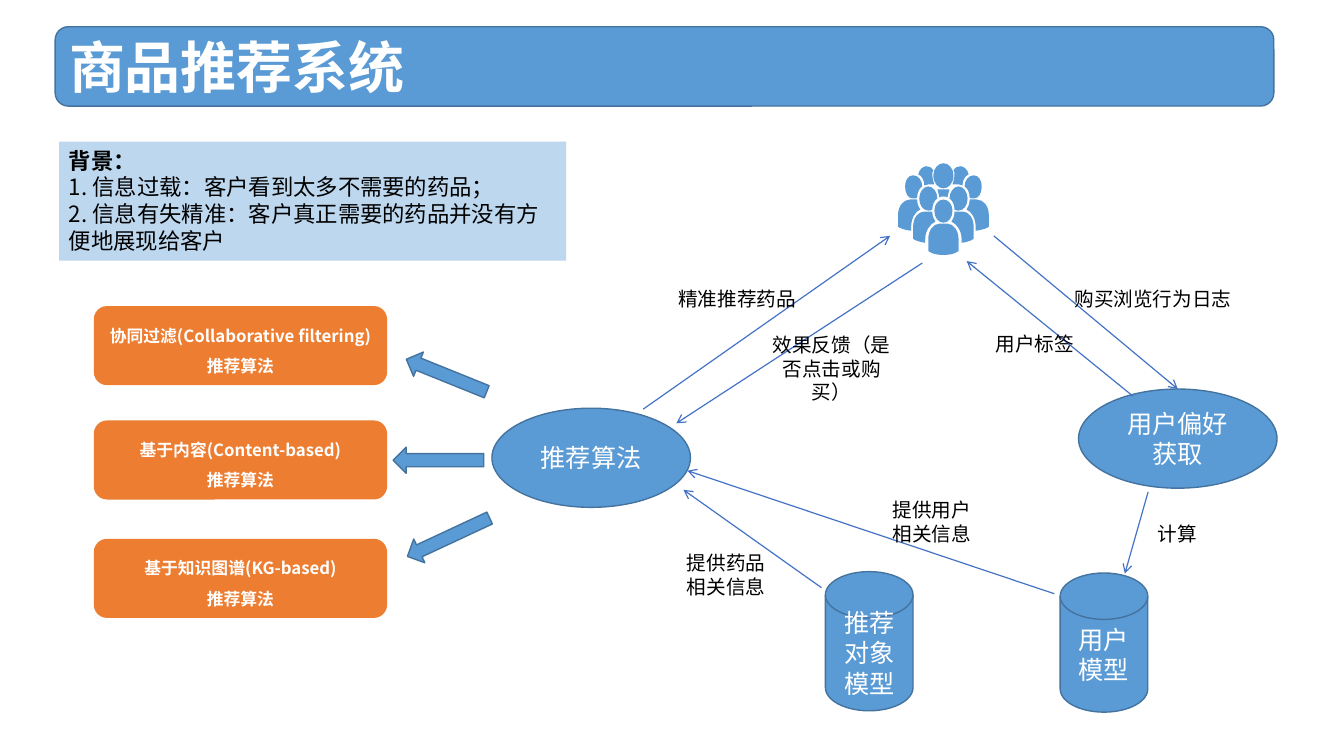
from dataclasses import dataclass
from typing import Any, Optional

from lxml.etree import SubElement
from pptx import Presentation
from pptx.dml.color import RGBColor
from pptx.enum.shapes import MSO_CONNECTOR, MSO_SHAPE
from pptx.enum.text import MSO_ANCHOR, MSO_AUTO_SIZE, PP_ALIGN
from pptx.oxml.ns import qn
from pptx.util import Pt


@dataclass(frozen=True)
class Theme:
    blue: str = "5B9BD5"
    outline: str = "43739E"
    arrow: str = "4472C4"
    orange: str = "ED7D31"
    pale: str = "BDD7EE"
    white: str = "FFFFFF"
    black: str = "000000"
    font: str = "Noto Sans CJK SC"
    title_font: str = "Calibri"
    title: int = 40
    node: int = 18
    note: int = 16
    label: int = 14
    card: int = 12


THEME = Theme()


@dataclass(frozen=True)
class Block:
    """A filled shape; box is left, top, width, height in points."""
    kind: MSO_SHAPE
    box: tuple
    lines: tuple = ()
    fill: str = THEME.blue
    outline: Optional[str] = THEME.outline
    rotation: float = 0


@dataclass(frozen=True)
class Label:
    text: str
    box: tuple


@dataclass(frozen=True)
class Flow:
    start: tuple
    end: tuple
    target: Optional[str] = None


DISK, OVAL = MSO_SHAPE.FLOWCHART_MAGNETIC_DISK, MSO_SHAPE.OVAL
TITLE_BAR = Block(MSO_SHAPE.ROUNDED_RECTANGLE, (39.4, 19.1, 870.5, 56.7))
NODES = {
    "user model": Block(DISK, (757.3, 409.3, 62.6, 99.4), ("用户模型",)),
    "item model": Block(DISK, (589.6, 408.3, 62.6, 99.4), ("推荐对象模型",)),
    "preference": Block(OVAL, (770.4, 277.9, 141.8, 70.8), ("用户偏好", "获取")),
    "algorithm": Block(OVAL, (351.4, 291.6, 141.8, 70.8), ("推荐算法",)),
}
CARDS = [
    Block(MSO_SHAPE.ROUNDED_RECTANGLE, (67, top, 209.5, 56.5), (method, "推荐算法"),
          THEME.orange, None)
    for top, method in (
        (218.6, "协同过滤(Collaborative filtering)"),
        (300.3, "基于内容(Content-based)"),
        (384.9, "基于知识图谱(KG-based)"),
    )
]
BLOCK_ARROWS = [
    Block(MSO_SHAPE.LEFT_ARROW, (288, 258.9, 61.9, 18.7), rotation=22),
    Block(MSO_SHAPE.LEFT_ARROW, (280.8, 319.4, 64.8, 18.7)),
    Block(MSO_SHAPE.LEFT_ARROW, (288, 374.4, 64.8, 18.7), rotation=335),
]
BACKGROUND = Block(
    MSO_SHAPE.RECTANGLE, (42.2, 101.2, 362.2, 85),
    ("背景：", "1. 信息过载：客户看到太多不需要的药品；",
     "2. 信息有失精准：客户真正需要的药品并没有方便地展现给客户"), THEME.pale, None)
FLOWS = [
    Flow((709.9, 168.5), (841.3, 277.9), "preference"),
    Flow((809.3, 283), (690.5, 186.5)),
    Flow((658.8, 187.9), (483.1, 302.4)),
    Flow((459.4, 292.3), (635.8, 168.5)),
    Flow((820.1, 351.4), (803.5, 409.7)),
    Flow((753.1, 424.1), (491, 336.2)),
    Flow((586.8, 419.8), (488.2, 349.9)),
]
LABELS = [
    Label("用户标签", (690.5, 233.3, 97.2, 24.5)),
    Label("效果反馈（是否点击或购买）", (542.2, 234.3, 103.7, 41)),
    Label("精准推荐药品", (455.8, 201.2, 141.8, 24.5)),
    Label("计算", (809.3, 369.4, 63.4, 24.5)),
    Label("购买浏览行为日志", (760.3, 201.2, 126.7, 24.5)),
    Label("提供用户相关信息", (625, 352.3, 81.4, 41)),
    Label("提供药品相关信息", (478.1, 390.2, 81.4, 41)),
]

# Crowd outlines around its centre line: 2 numbers are a corner, 6 a Bézier curve
CROWD_AXIS, CROWD_TOP, CROWD_UNIT = 673.9, 116.6, 0.72
CROWD_MIDDLE = [
    [(-4, 60), (4, 60), (10, 60, 15, 67, 15, 75), (15, 87), (14, 88, 10, 91, 0, 91),
     (-10, 91, -14, 88, -15, 87), (-15, 75), (-15, 67, -10, 60, -4, 60)],
    [(0, 36), (5, 36, 9, 41, 9, 47), (9, 54, 5, 59, 0, 59),
     (-5, 59, -9, 54, -9, 47), (-9, 41, -5, 36, 0, 36)],
    [(-4, 26), (4, 26), (6, 26), (5, 28, 5, 31, 4, 34), (3, 33, 2, 33, 0, 33),
     (-2, 33, -3, 33, -4, 34), (-5, 31, -5, 28, -6, 26)],
    [(0, 0), (5, 0, 10, 5, 10, 12), (10, 20, 5, 25, 0, 25),
     (-5, 25, -10, 20, -10, 12), (-10, 5, -5, 0, 0, 0)],
]
CROWD_SIDE = [
    [(11, 48), (19, 48), (25, 48, 30, 54, 30, 63), (30, 75), (29, 76, 25, 78, 18, 79),
     (18, 75), (18, 67, 13, 60, 8, 58), (10, 55, 11, 52, 11, 48)],
    [(26, 36), (33, 36), (40, 36, 45, 43, 45, 51), (45, 63), (44, 64, 40, 66, 32, 67),
     (32, 63), (32, 55, 28, 48, 23, 46), (25, 43, 26, 40, 26, 36)],
    [(15, 23), (20, 23, 24, 29, 24, 35), (24, 42, 20, 47, 15, 47),
     (14, 47, 12, 47, 11, 46), (11, 41, 9, 37, 6, 35), (6, 29, 10, 23, 15, 23)],
    [(30, 12), (35, 12, 38, 17, 38, 23), (38, 30, 35, 35, 30, 35),
     (28, 35, 27, 35, 26, 34), (26, 29, 24, 25, 21, 23), (21, 17, 25, 12, 30, 12)],
    [(17, 3), (20, 3, 24, 6, 25, 11), (21, 13, 19, 17, 19, 22), (18, 22, 16, 21, 15, 21),
     (13, 21, 12, 21, 9, 21), (10, 18, 11, 15, 11, 12), (11, 10, 11, 8, 10, 7),
     (12, 4, 14, 3, 17, 3)],
]


def apply_format(target: Any, values: dict) -> None:
    for name, value in values.items():
        setattr(target, name, value)


def paint(shape: Any, fill: str, outline: Optional[str] = None) -> None:
    shape.shadow.inherit = False
    shape.fill.solid()
    shape.fill.fore_color.rgb = RGBColor.from_string(fill)
    if outline:
        shape.line.color.rgb = RGBColor.from_string(outline)
        shape.line.width = Pt(1)
    else:
        shape.line.fill.background()


def write(shape: Any, lines: tuple, size: int, color: str, *, font: str = THEME.font,
          bold_lines: int = 0, align: PP_ALIGN = PP_ALIGN.CENTER, spacing: float = 1.0,
          anchor: MSO_ANCHOR = MSO_ANCHOR.MIDDLE, grow: bool = False) -> None:
    frame = shape.text_frame
    fit = MSO_AUTO_SIZE.SHAPE_TO_FIT_TEXT if grow else MSO_AUTO_SIZE.NONE
    apply_format(frame, {"word_wrap": True, "vertical_anchor": anchor, "auto_size": fit})
    for index, line in enumerate(lines):
        paragraph = frame.paragraphs[0] if index == 0 else frame.add_paragraph()
        apply_format(paragraph, {"alignment": align, "line_spacing": spacing})
        run = paragraph.add_run()
        run.text = line
        apply_format(run.font, {"name": font, "size": Pt(size), "bold": index < bold_lines})
        run.font.color.rgb = RGBColor.from_string(color)
        SubElement(run.font._element, qn("a:ea"), typeface=THEME.font)


def add_block(slide: Any, block: Block) -> Any:
    shape = slide.shapes.add_shape(block.kind, *map(Pt, block.box))
    shape.rotation = block.rotation
    paint(shape, block.fill, block.outline)
    return shape


def add_label(slide: Any, label: Label) -> None:
    box = slide.shapes.add_textbox(*map(Pt, label.box))
    write(box, (label.text,), THEME.label, THEME.black, anchor=MSO_ANCHOR.TOP, grow=True)


def add_flow(slide: Any, flow: Flow, nodes: dict) -> None:
    connector = slide.shapes.add_connector(
        MSO_CONNECTOR.STRAIGHT, *map(Pt, flow.start + flow.end))
    if flow.target:
        connector.end_connect(nodes[flow.target], 0)
    connector.line.color.rgb = RGBColor.from_string(THEME.arrow)
    connector.line.width = Pt(0.85)
    SubElement(connector.line._get_or_add_ln(), qn("a:tailEnd"), type="arrow")
    SubElement(connector._element.spPr, qn("a:effectLst"))


def mirror(outline: list) -> list:
    return [tuple(-value if index % 2 == 0 else value for index, value in enumerate(item))
            for item in outline]


def bend_curves(shape: Any, outlines: list) -> None:
    """Join each three segments that stand for a Bézier curve into one."""
    outline_path = next(shape._element.iter(qn("a:path")))
    segments = iter(outline_path.findall(qn("a:lnTo")))
    for item in (item for outline in outlines for item in outline[1:]):
        first, *others = [next(segments) for _ in range(len(item) // 2)]
        if others:
            first.tag = qn("a:cubicBezTo")
        for segment in others:
            first.append(segment[0])
            outline_path.remove(segment)


def add_crowd(slide: Any) -> None:
    outlines = CROWD_MIDDLE + CROWD_SIDE + [mirror(side) for side in CROWD_SIDE]
    builder = slide.shapes.build_freeform(Pt(CROWD_AXIS), Pt(CROWD_TOP))
    for index, outline in enumerate(outlines):
        points = [(Pt(CROWD_AXIS + CROWD_UNIT * x), Pt(CROWD_TOP + CROWD_UNIT * y))
                  for item in outline for x, y in zip(item[::2], item[1::2])]
        if index == 0:
            builder = slide.shapes.build_freeform(*points[0])
        else:
            builder.move_to(*points[0])
        builder.add_line_segments(points[1:])
    shape = builder.convert_to_shape()
    bend_curves(shape, outlines)
    paint(shape, THEME.blue)


def add_title(slide: Any, text: str) -> None:
    title = slide.shapes.title
    box = dict(zip(("left", "top", "width", "height"), map(Pt, TITLE_BAR.box)))
    apply_format(title, box)
    title.text_frame.margin_left = Pt(9.9)
    write(title, (text,), THEME.title, THEME.white, font=THEME.title_font,
          bold_lines=1, align=PP_ALIGN.LEFT)
    # The bar lies behind the title
    bar = add_block(slide, TITLE_BAR)
    title._element.addprevious(bar._element)


def main() -> None:
    presentation = Presentation()
    apply_format(presentation, {"slide_width": Pt(960), "slide_height": Pt(540)})
    slide = presentation.slides.add_slide(presentation.slide_layouts[5])
    add_title(slide, "商品推荐系统")

    # Models, algorithm and users
    nodes = {name: add_block(slide, block) for name, block in NODES.items()}
    for name, block in NODES.items():
        write(nodes[name], block.lines, THEME.node, THEME.white)
    add_crowd(slide)

    # Data flows and their labels
    for flow in FLOWS:
        add_flow(slide, flow, nodes)
    for label in LABELS:
        add_label(slide, label)

    # Background note and algorithm families
    write(add_block(slide, BACKGROUND), BACKGROUND.lines, THEME.note, THEME.black,
          bold_lines=1, align=PP_ALIGN.LEFT, anchor=MSO_ANCHOR.TOP, grow=True)
    for card in CARDS:
        write(add_block(slide, card), card.lines, THEME.card, THEME.white,
              bold_lines=2, spacing=1.5, grow=True)
    for arrow in BLOCK_ARROWS:
        add_block(slide, arrow)
    presentation.save("out.pptx")


if __name__ == "__main__":
    main()
